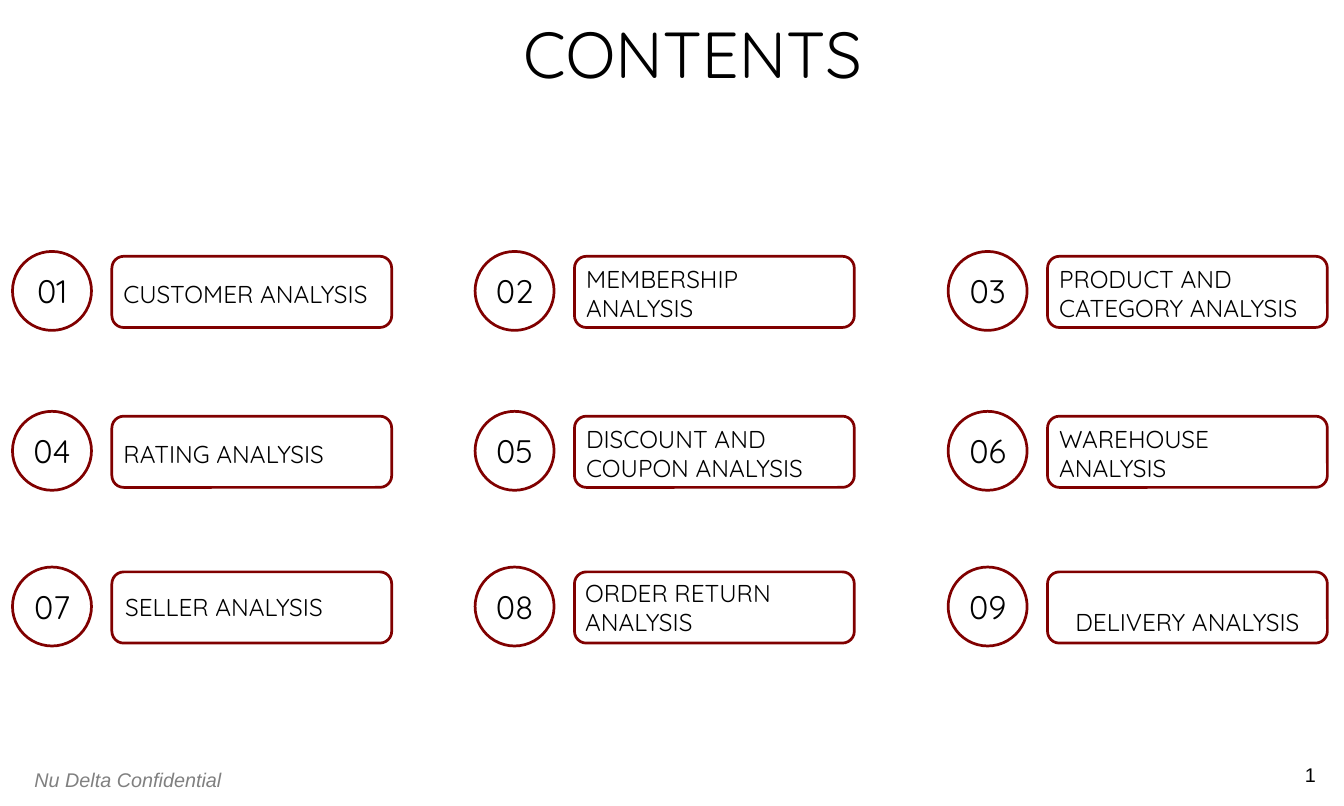
from pptx import Presentation
from pptx.dml.color import RGBColor
from pptx.enum import shapes, text
from pptx.util import Pt

# Content: label, then its shift right and down in points
TITLE = "CONTENTS"
TOPICS = [
    ("CUSTOMER ANALYSIS", 0, 0),
    ("MEMBERSHIP ANALYSIS", 0, 0),
    ("PRODUCT AND CATEGORY ANALYSIS", 0, 0),
    ("RATING ANALYSIS", 0, 0),
    ("DISCOUNT AND COUPON ANALYSIS", 0, 0),
    ("WAREHOUSE ANALYSIS", 0, 0),
    ("SELLER ANALYSIS", 1.2, -2),
    ("ORDER RETURN ANALYSIS", -0.7, -1.2),
]
LAST = "DELIVERY ANALYSIS"
FOOTER = "Nu Delta Confidential"
PAGE = "1"

BLACK = RGBColor(0x00, 0x00, 0x00)
GREY = RGBColor(0x80, 0x80, 0x80)
MAROON = RGBColor(0x80, 0x00, 0x00)
HEAD, BODY = "Quicksand", "Arial"

# Layout in points
WIDTH, HEIGHT = 992.13, 595.28
COLS = [9.2, 350.7, 699.9]
ROWS = [185.7, 303.8, 418.8]
DISC = 58.3
BOX_X, BOX_Y, BOX_W, BOX_H = 73.4, 3.6, 206.6, 52.6
TEXT_Y, TEXT_H = 5.8, 50.4
NUM_X, NUM_W = -2.8, 64.1
INSET = 8.6

LEFT, MID, RIGHT = (text.PP_ALIGN.LEFT, text.PP_ALIGN.CENTER,
                    text.PP_ALIGN.RIGHT)
TOP, CENTER = text.MSO_ANCHOR.TOP, text.MSO_ANCHOR.MIDDLE


def write(shape, words, size, font=HEAD, color=BLACK, align=LEFT,
          anchor=CENTER, pad=(INSET, INSET)):
    frame = shape.text_frame
    frame.text = words
    frame.word_wrap = True
    frame.auto_size = text.MSO_AUTO_SIZE.NONE
    frame.vertical_anchor = anchor
    frame.margin_left = frame.margin_right = Pt(pad[0])
    frame.margin_top = frame.margin_bottom = Pt(pad[1])
    para = frame.paragraphs[0]
    para.alignment = align
    para.font.size = Pt(size)
    para.font.name = font
    para.font.color.rgb = color
    return para


def add_label(slide, place, *args, **kwargs):
    box = slide.shapes.add_textbox(*map(Pt, place))
    return write(box, *args, **kwargs)


def add_outline(slide, kind, *place):
    shape = slide.shapes.add_shape(kind, *map(Pt, place))
    shape.shadow.inherit = False
    shape.fill.background()
    shape.line.color.rgb = MAROON
    shape.line.width = Pt(2)
    return shape


def add_frame(slide, index):
    """Add a numbered disc with its frame; return the frame and its cell."""
    row, col = divmod(index, len(COLS))
    x, y = COLS[col], ROWS[row]
    number = add_label(slide, (x + NUM_X, y + TEXT_Y, NUM_W, TEXT_H),
                       f"{index + 1:02}", 24, align=MID)
    number.line_spacing = 0.9
    add_outline(slide, shapes.MSO_SHAPE.OVAL, x, y, DISC, DISC)
    frame = add_outline(slide, shapes.MSO_SHAPE.ROUNDED_RECTANGLE,
                        x + BOX_X, y + BOX_Y, BOX_W, BOX_H)
    return frame, x, y


def main():
    deck = Presentation()
    deck.slide_width, deck.slide_height = Pt(WIDTH), Pt(HEIGHT)
    slide = deck.slides.add_slide(deck.slide_layouts[5])

    # Title
    title = slide.shapes.title
    title.left, title.top = Pt(123.9), Pt(6.5)
    title.width, title.height = Pt(774.7), Pt(65.5)
    write(title, TITLE, 48, align=MID, anchor=TOP, pad=(7.2, 3.6))

    # Grid of numbered topics
    for index, (label, right, down) in enumerate(TOPICS):
        _, x, y = add_frame(slide, index)
        add_label(slide,
                  (x + BOX_X + right, y + TEXT_Y + down, BOX_W, TEXT_H),
                  label, 18)

    # The last label sits low inside its own frame
    frame, _, _ = add_frame(slide, len(TOPICS))
    write(frame, LAST, 18, align=MID, pad=(3.6, 3.6))
    frame.text_frame.margin_top = Pt(24.3)

    # Footer and page number
    footer = add_label(slide, (18.3, 563.4, 182.9, 25.2), FOOTER, 14.6, BODY,
                       GREY, anchor=TOP, pad=(7.2, 3.6))
    footer.font.italic = True
    add_label(slide, (953.3, 563.4, 18, 17.3), PAGE, 14.6, BODY,
              align=RIGHT, anchor=TOP, pad=(0, 0))

    deck.save("out.pptx")


if __name__ == "__main__":
    main()
